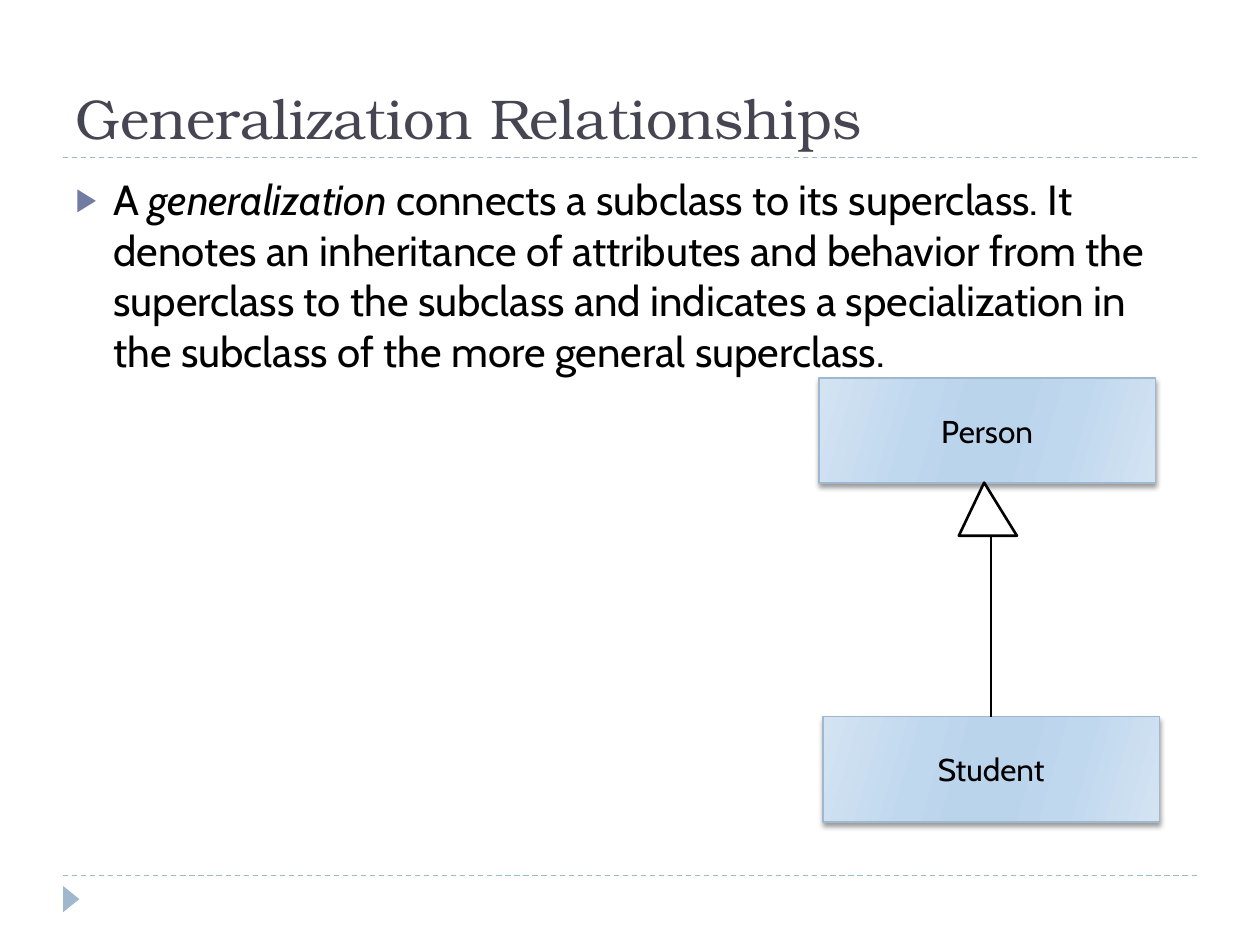
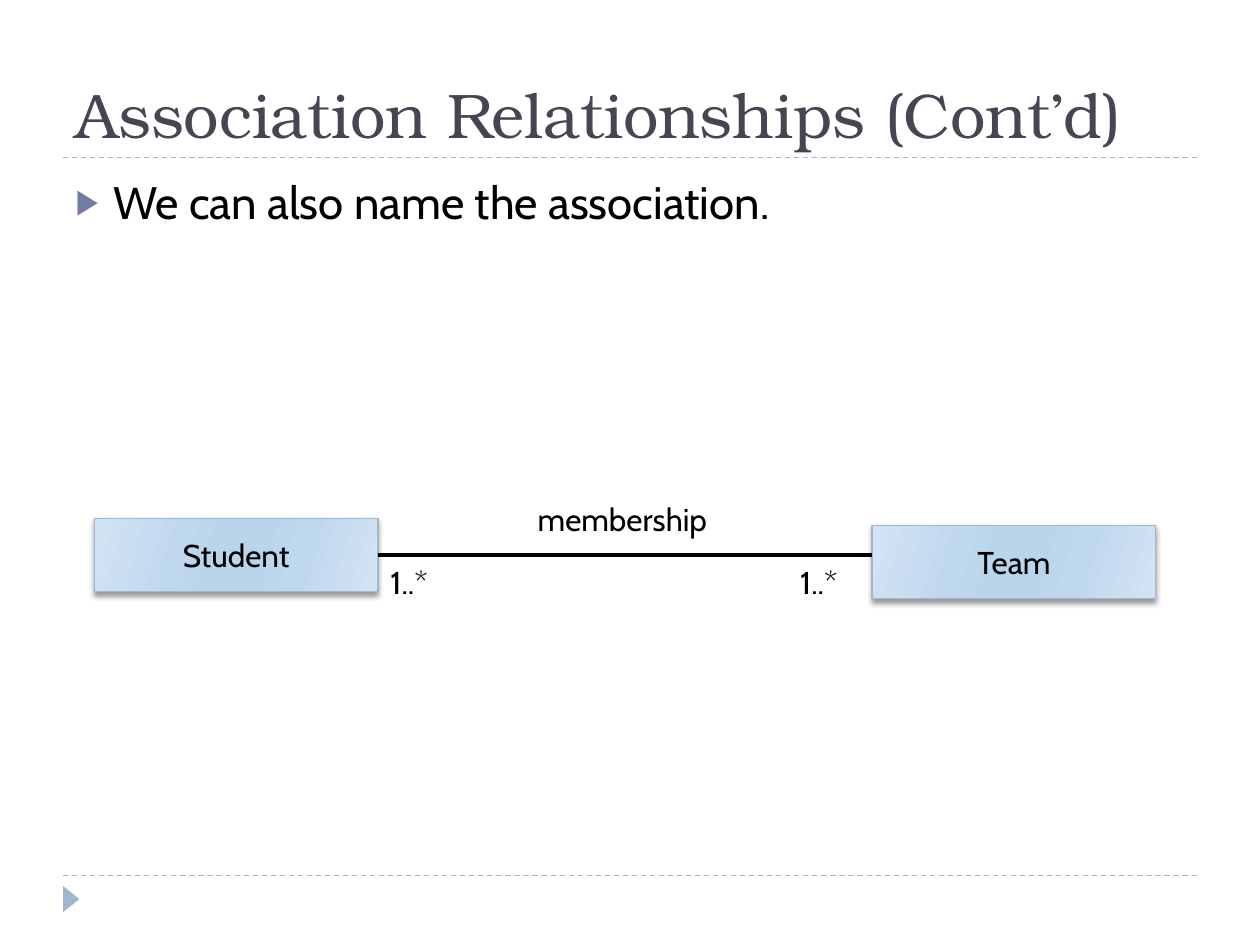
import lxml.etree
import pptx
import pptx.dml.color
import pptx.enum.dml
import pptx.enum.shapes
import pptx.enum.text
import pptx.oxml.ns
import pptx.util

Cm = pptx.util.Cm
Pt = pptx.util.Pt
RGBColor = pptx.dml.color.RGBColor
SHAPE = pptx.enum.shapes.MSO_SHAPE
ALIGN = pptx.enum.text.PP_ALIGN
ANCHOR = pptx.enum.text.MSO_ANCHOR
AUTO_SIZE = pptx.enum.text.MSO_AUTO_SIZE

BLACK = RGBColor(0x00, 0x00, 0x00)
WHITE = RGBColor(0xFF, 0xFF, 0xFF)
TITLE_GREY = RGBColor(0x46, 0x46, 0x53)
BULLET_BLUE = RGBColor(0x72, 0x7C, 0xA3)
RULE_BLUE = RGBColor(0x9F, 0xB8, 0xCD)
BOX_EDGE = RGBColor(0xD3, 0xE3, 0xF2)
BOX_MID = RGBColor(0xC0, 0xD8, 0xEE)
BOX_CENTRE = RGBColor(0xBA, 0xD4, 0xEC)
BOX_STOPS = [(0, BOX_EDGE), (30, BOX_MID), (45, BOX_CENTRE),
             (55, BOX_CENTRE), (73, BOX_MID), (100, BOX_EDGE)]

TITLE_FONT = "TeX Gyre Bonum"
BODY_FONT = "Cabin"
LEFT, WIDTH = Cm(1.27), Cm(22.86)
TOP, BOTTOM, LEFT_SIDE, RIGHT_SIDE = range(4)


def add_xml(parent, tag, **attrs):
    return lxml.etree.SubElement(
        parent, pptx.oxml.ns.qn(tag), {k: str(v) for k, v in attrs.items()})


class Deck:
    def __init__(self):
        self.prs = pptx.Presentation()
        self.prs.slide_width, self.prs.slide_height = Cm(25.4), Cm(19.05)
        self.s = None

    def slide(self, title, title_size, runs, body_size):
        """Start a slide; runs are (text, italic) pairs of its one bullet."""
        self.s = self.prs.slides.add_slide(self.prs.slide_layouts[1])
        for y in (Cm(17.65), Cm(3.18)):
            rule = self.line((LEFT, y), (LEFT + WIDTH, y), 0.75, RULE_BLUE)
            rule.line.dash_style = pptx.enum.dml.MSO_LINE.DASH
        marker = self.s.shapes.add_shape(
            SHAPE.ISOSCELES_TRIANGLE, Cm(1.17), Cm(17.96), Cm(0.53), Cm(0.33))
        marker.rotation = 90
        marker.shadow.inherit = False
        marker.fill.solid()
        marker.fill.fore_color.rgb = RULE_BLUE
        marker.line.fill.background()

        p = self.placeholder(0, Cm(0.43), Cm(2.74), ANCHOR.BOTTOM)
        p.text = title
        self.font(p, title_size, TITLE_FONT, TITLE_GREY)

        p = self.placeholder(1, Cm(3.38), Cm(13.72), ANCHOR.TOP)
        for text, italic in runs:
            r = p.add_run()
            r.text = text
            if italic:
                r.font.italic = True
        self.bullet(p)
        self.font(p, body_size)

    def placeholder(self, idx, top, height, anchor):
        sp = self.s.placeholders[idx]
        sp.left, sp.top, sp.width, sp.height = LEFT, top, WIDTH, height
        tf = sp.text_frame
        tf.auto_size = AUTO_SIZE.NONE
        tf.vertical_anchor = anchor
        p = tf.paragraphs[0]
        p.alignment = ALIGN.LEFT
        return p

    def bullet(self, p):
        p.space_before = Pt(6)
        pPr = p._p.get_or_add_pPr()
        pPr.set("marL", str(Cm(0.76)))
        pPr.set("indent", str(-Cm(0.76)))
        add_xml(add_xml(pPr, "a:buClr"), "a:srgbClr", val=BULLET_BLUE)
        add_xml(pPr, "a:buSzPct", val=76000)
        add_xml(pPr, "a:buChar", char="▶")

    def font(self, p, size=18, name=BODY_FONT, color=BLACK):
        p.font.size = Pt(size)
        p.font.name = name
        p.font.color.rgb = color

    def line(self, start, end, width, color=BLACK):
        c = self.s.shapes.add_connector(
            pptx.enum.shapes.MSO_CONNECTOR.STRAIGHT, *start, *end)
        c.line.width = Pt(width)
        c.line.color.rgb = color
        add_xml(c._element.spPr, "a:effectLst")
        return c

    def class_box(self, name, left, top, width, height):
        sp = self.s.shapes.add_shape(SHAPE.RECTANGLE, left, top, width, height)
        sp.fill.gradient()
        grad = sp._element.spPr.find(pptx.oxml.ns.qn("a:gradFill"))
        stops = grad.find(pptx.oxml.ns.qn("a:gsLst"))
        stops.clear()
        for pos, color in BOX_STOPS:
            add_xml(add_xml(stops, "a:gs", pos=pos * 1000),
                    "a:srgbClr", val=color)
        grad.find(pptx.oxml.ns.qn("a:lin")).set("ang", str(16 * 60000))
        sp.line.color.rgb = RULE_BLUE
        sp.line.width = Pt(0.75)
        sp.shadow.inherit = False
        effects = sp._element.spPr.find(pptx.oxml.ns.qn("a:effectLst"))
        shadow = add_xml(effects, "a:outerShdw", blurRad=Pt(3), dist=Pt(2),
                         dir=90 * 60000, rotWithShape=0)
        add_xml(add_xml(shadow, "a:srgbClr", val=BLACK), "a:alpha", val=40000)
        tf = sp.text_frame
        tf.word_wrap = False
        tf.vertical_anchor = ANCHOR.MIDDLE
        p = tf.paragraphs[0]
        p.text = name
        p.alignment = ALIGN.CENTER
        self.font(p)
        return sp

    def label(self, text, left, top, width):
        tf = self.s.shapes.add_textbox(left, top, width, Cm(1.27)).text_frame
        tf.word_wrap = True
        tf.auto_size = AUTO_SIZE.SHAPE_TO_FIT_TEXT
        p = tf.paragraphs[0]
        p.text = text
        self.font(p)

    def arrowhead(self, tip, *base):
        builder = self.s.shapes.build_freeform(*tip)
        builder.add_line_segments(base, close=True)
        sp = builder.convert_to_shape()
        sp.shadow.inherit = False
        sp.fill.solid()
        sp.fill.fore_color.rgb = WHITE
        sp.line.color.rgb = BLACK
        sp.line.width = Pt(1.5)


def generalization(deck):
    deck.slide("Generalization Relationships", 32, [
        ("A ", False),
        ("generalization", True),
        (" connects a subclass to its superclass. It denotes an inheritance "
         "of attributes and behavior from the superclass to the subclass and "
         "indicates a specialization in the subclass of the more general "
         "superclass.", False)], 24)
    size = Cm(6.78), Cm(2.12)
    deck.class_box("Person", Cm(16.51), Cm(7.62), *size)
    student = deck.class_box("Student", Cm(16.59), Cm(14.45), *size)
    x = student.left + student.width // 2
    base = Cm(10.8)
    stem = deck.line((x, student.top), (x, base), 1.5)
    stem.begin_connect(student, TOP)
    deck.arrowhead((Cm(19.84), Cm(9.73)), (Cm(19.33), base), (Cm(20.5), base))


def association(deck):
    deck.slide("Association Relationships (Cont’d)", 36,
               [("We can also name the association.", False)], 26)
    size = Cm(5.72), Cm(1.48)
    team = deck.class_box("Team", Cm(17.58), Cm(10.59), *size)
    student = deck.class_box("Student", Cm(1.9), Cm(10.45), *size)
    y = student.top + student.height // 2
    link = deck.line((student.left + student.width, y), (team.left, y), 2.25)
    link.begin_connect(student, RIGHT_SIDE)
    deck.label("membership", Cm(10.59), Cm(9.96), Cm(4.88))
    for left in (Cm(7.62), Cm(15.88)):
        deck.label("1..*", left, Cm(11.23), Cm(2))


def main():
    deck = Deck()
    generalization(deck)
    association(deck)
    deck.prs.save("out.pptx")


if __name__ == "__main__":
    main()
